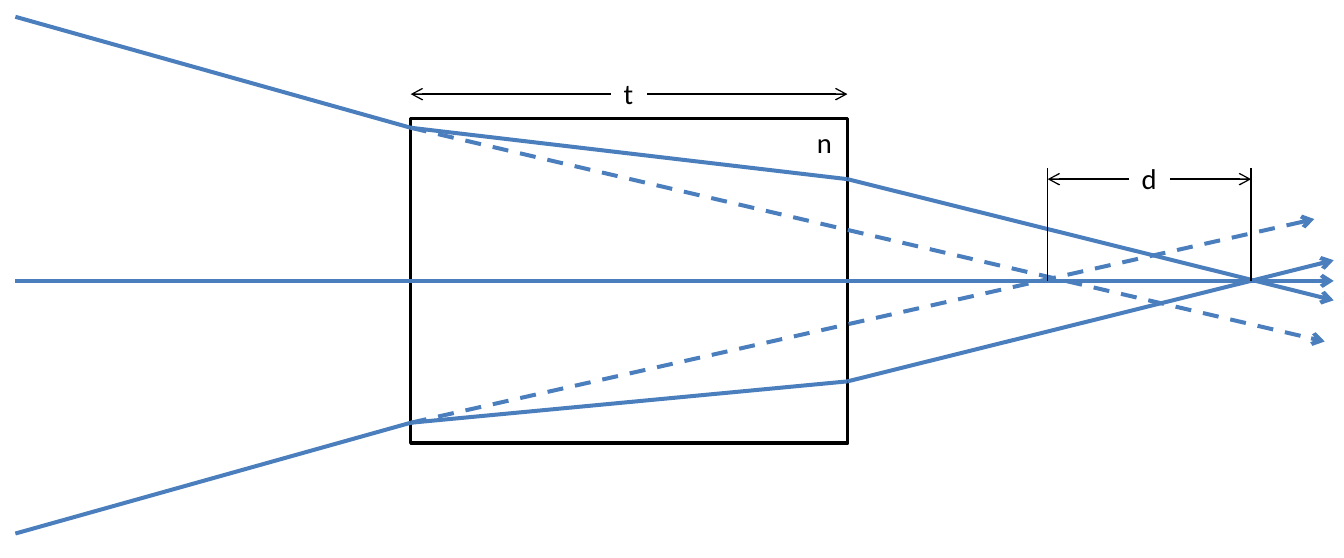
from pptx import Presentation
from pptx.dml.color import RGBColor
from pptx.enum import dml, shapes, text
from pptx.oxml import parse_xml
from pptx.oxml.ns import nsdecls
from pptx.util import Pt

RAY, INK, PAPER = "4B7EBC", "000000", "FFFFFF"


def color(value):
    return RGBColor.from_string(value)


class Diagram:
    font = "Calibri"
    font_size = 16
    label_height = 26.6
    ray_width = 2.25
    thin_width = 0.75

    def __init__(self, slide):
        self.shapes = slide.shapes

    def block(self, left, top, width, height):
        block = self.shapes.add_shape(
            shapes.MSO_SHAPE.RECTANGLE, Pt(left), Pt(top), Pt(width), Pt(height))
        block.shadow.inherit = False
        block.fill.solid()
        block.fill.fore_color.rgb = color(PAPER)
        block.line.color.rgb = color(INK)
        block.line.width = Pt(2)
        return block

    def line(self, start, end, stroke, width, arrow=False, dashed=False):
        line = self.shapes.add_connector(
            shapes.MSO_CONNECTOR.STRAIGHT, *map(Pt, (*start, *end)))
        line.line.color.rgb = color(stroke)
        line.line.width = Pt(width)
        if dashed:
            line.line.dash_style = dml.MSO_LINE.DASH
        properties = line._element.spPr
        if arrow:
            properties.ln.append(parse_xml(f'<a:tailEnd {nsdecls("a")} type="arrow"/>'))
        properties.append(parse_xml(f'<a:effectLst {nsdecls("a")}/>'))
        return line

    def ray(self, start, end, arrow=False, dashed=False):
        return self.line(start, end, RAY, self.ray_width, arrow, dashed)

    def thin(self, start, end, arrow=False):
        return self.line(start, end, INK, self.thin_width, arrow)

    def label(self, wording, center, middle, width):
        box = self.shapes.add_textbox(
            Pt(center - width / 2), Pt(middle - self.label_height / 2),
            Pt(width), Pt(self.label_height))
        frame = box.text_frame
        frame.word_wrap = False
        frame.auto_size = text.MSO_AUTO_SIZE.SHAPE_TO_FIT_TEXT
        run = frame.paragraphs[0].add_run()
        run.text = wording
        run.font.name = self.font
        run.font.size = Pt(self.font_size)
        run.font.color.rgb = color(INK)

    def dimension(self, wording, left, right, y, gap):
        center = (left + right) / 2
        self.thin((center - gap / 2, y), (left, y), arrow=True)
        self.thin((center + gap / 2, y), (right, y), arrow=True)
        self.label(wording, center, y - 0.4, gap)


def main():
    deck = Presentation()
    deck.slide_width, deck.slide_height = Pt(750.96), Pt(311.76)
    diagram = Diagram(deck.slides.add_slide(deck.slide_layouts[6]))

    source_x, entry_x, exit_x, end_x = 8.6, 229.5, 473.5, 745.2
    block_top, block_height = 66.2, 181.5
    axis_y = block_top + block_height / 2
    focus_x, shifted_focus_x, extension_top = 585.4, 699.1, 93.6

    block = diagram.block(entry_x, block_top, exit_x - entry_x, block_height)
    for x, arrow in ((end_x, True), (source_x, False)):
        axis = diagram.ray((entry_x, axis_y), (x, axis_y), arrow)
        axis.begin_connect(block, 1)

    ray_paths = (
        (9.4, 71.4, 100.1, 167.8, (740.2, 190.8)),
        (298.1, 236.2, 213.1, 145.4, (734.4, 122.4)),
    )
    for source_y, entry_y, exit_y, end_y, unrefracted_end in ray_paths:
        entry, leaving = (entry_x, entry_y), (exit_x, exit_y)
        diagram.ray(entry, unrefracted_end, arrow=True, dashed=True)
        diagram.ray(entry, (source_x, source_y))
        diagram.ray(entry, leaving)
        diagram.ray(leaving, (end_x, end_y), arrow=True)

    for x in (focus_x, shifted_focus_x):
        diagram.thin((x, axis_y), (x, extension_top))
    diagram.dimension("d", focus_x, shifted_focus_x, 100.1, 23)
    diagram.dimension("t", entry_x, exit_x, 52.6, 20.2)
    diagram.label("n", 460.8, 79.5, 23)

    deck.save("out.pptx")


if __name__ == "__main__":
    main()
